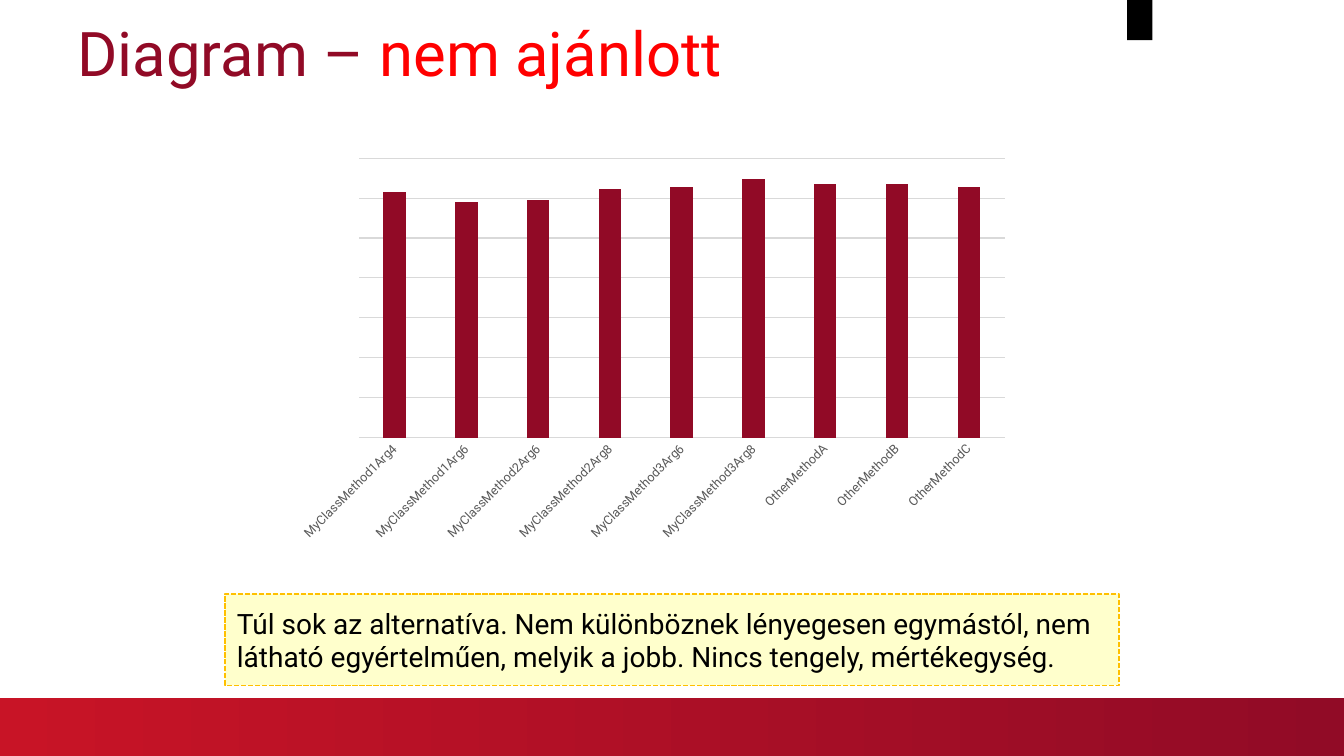
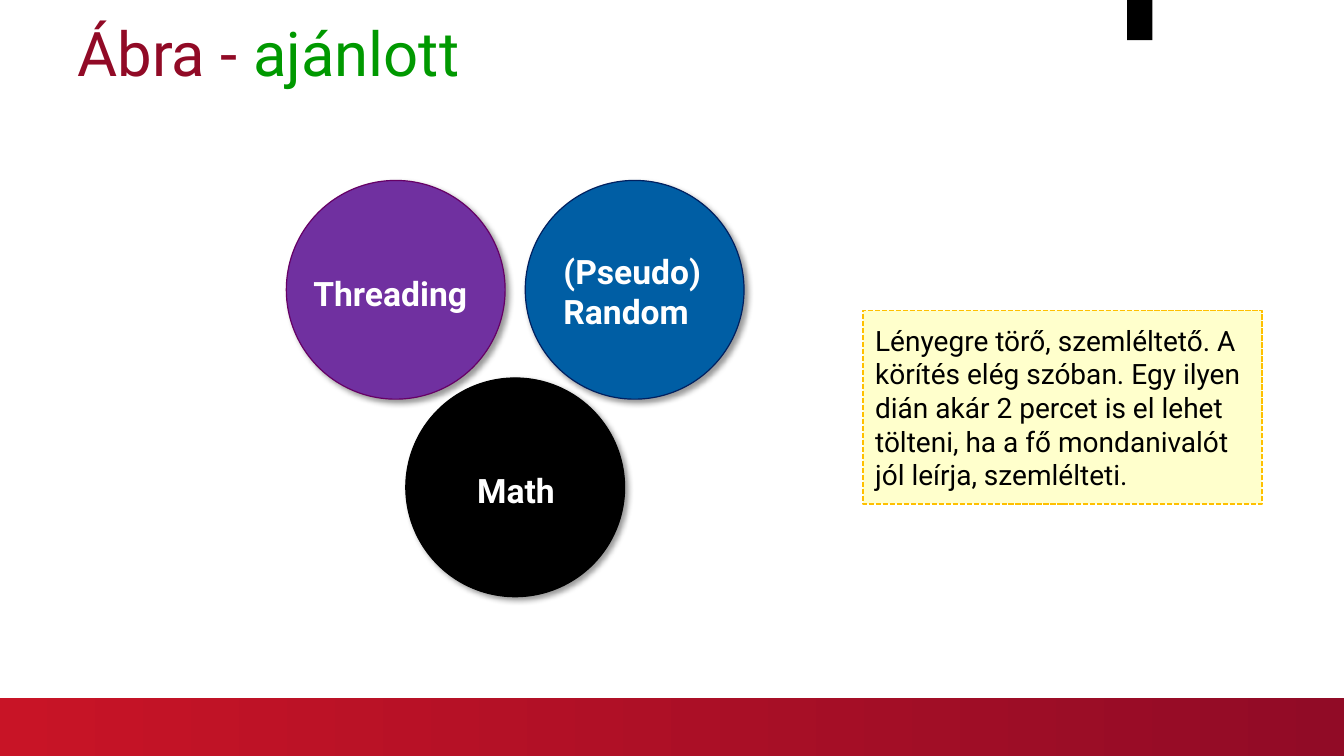
from lxml import etree
from pptx import Presentation
from pptx.chart.data import CategoryChartData
from pptx.dml.color import RGBColor
from pptx.enum.chart import XL_CHART_TYPE as ChartType, XL_TICK_MARK as Tick
from pptx.enum.dml import MSO_LINE as Dash
from pptx.enum.shapes import MSO_SHAPE as Shape
from pptx.enum.text import MSO_ANCHOR as Anchor, PP_ALIGN as Align
from pptx.oxml.ns import qn
from pptx.util import Inches, Pt

FONT = "Roboto"
CRIMSON = RGBColor(0x91, 0x0A, 0x26)
BAND_LEFT = RGBColor(0xC8, 0x14, 0x26)
BAND_RIGHT = RGBColor(0x91, 0x0B, 0x26)
RED = RGBColor(0xFF, 0x00, 0x00)
GREEN = RGBColor(0x00, 0x99, 0x00)
BLACK = RGBColor(0x00, 0x00, 0x00)
WHITE = RGBColor(0xFF, 0xFF, 0xFF)
NOTE_FILL = RGBColor(0xFF, 0xFF, 0xCC)
NOTE_EDGE = RGBColor(0xFF, 0xC0, 0x00)
GRID = RGBColor(0xD9, 0xD9, 0xD9)
LABEL_GREY = RGBColor(0x59, 0x59, 0x59)
PURPLE = RGBColor(0x70, 0x30, 0xA0)
PURPLE_EDGE = RGBColor(0x66, 0x00, 0x66)
BLUE = RGBColor(0x00, 0x5E, 0xA4)
BLUE_EDGE = RGBColor(0x00, 0x20, 0x60)

METHODS = [
    ("MyClassMethod1Arg4", 95), ("MyClassMethod1Arg6", 91), ("MyClassMethod2Arg6", 92),
    ("MyClassMethod2Arg8", 96), ("MyClassMethod3Arg6", 97), ("MyClassMethod3Arg8", 100),
    ("OtherMethodA", 98), ("OtherMethodB", 98), ("OtherMethodC", 97),
]
GRID_STEP = 15.44
GRID_ROWS = 7


def box_inches(box):
    return [Inches(length) for length in box]


def write(frame, paragraphs, size, bold=False, anchor=Anchor.TOP, spacing=None, inset=None):
    frame.word_wrap = True
    frame.vertical_anchor = anchor
    if inset is not None:
        frame.margin_left = frame.margin_right = Inches(inset)
        frame.margin_top = frame.margin_bottom = Inches(inset)
    for index, runs in enumerate(paragraphs):
        paragraph = frame.paragraphs[0] if index == 0 else frame.add_paragraph()
        paragraph.alignment = Align.LEFT
        if spacing:
            paragraph.line_spacing = spacing
        for words, color in runs:
            run = paragraph.add_run()
            run.text = words
            run.font.name, run.font.size, run.font.bold = FONT, Pt(size), bold
            run.font.color.rgb = color


def add_text(slide, box, paragraphs, **style):
    write(slide.shapes.add_textbox(*box_inches(box)).text_frame, paragraphs, **style)


def add_filled(slide, kind, box, fill=None, edge=None, width=0.85):
    shape = slide.shapes.add_shape(kind, *box_inches(box))
    shape.shadow.inherit = False
    if fill is not None:
        shape.fill.solid()
        shape.fill.fore_color.rgb = fill
    if edge is None:
        shape.line.fill.background()
    else:
        shape.line.color.rgb = edge
        shape.line.width = Pt(width)
    return shape


def add_shadow(shape):
    effects = shape.element.spPr.find(qn("a:effectLst"))
    shadow = etree.SubElement(effects, qn("a:outerShdw"), blurRad=str(Pt(4)),
                              dist=str(Pt(3)), dir="2700000", algn="tl", rotWithShape="0")
    color = etree.SubElement(shadow, qn("a:srgbClr"), val=str(BLACK))
    etree.SubElement(color, qn("a:alpha"), val="40000")


def add_frame(deck, topic, verdict, verdict_color):
    slide = deck.slides.add_slide(deck.slide_layouts[6])
    band = add_filled(slide, Shape.RECTANGLE, (-0.01, 6.93, 13.34, 0.57))
    band.fill.gradient()
    band.fill.gradient_angle = 0
    for stop, color in zip(band.fill.gradient_stops, (BAND_LEFT, BAND_RIGHT)):
        stop.color.rgb = color
    add_text(slide, (0.67, 0.13, 12, 0.87), [[(topic, CRIMSON), (verdict, verdict_color)]],
             size=44, anchor=Anchor.MIDDLE, spacing=0.9)
    add_filled(slide, Shape.RECTANGLE, (11.18, 0, 0.25, 0.4), BLACK)
    return slide


def add_note(slide, box, words):
    note = add_filled(slide, Shape.RECTANGLE, box, NOTE_FILL, NOTE_EDGE, 1.25)
    note.line.dash_style = Dash.SQUARE_DOT
    write(note.text_frame, [[(words, BLACK)]], size=20, anchor=Anchor.MIDDLE, inset=0.12)


def add_method_chart(slide, box):
    data = CategoryChartData()
    data.categories = [method for method, value in METHODS]
    data.add_series("Series 1", [value for method, value in METHODS])
    chart = slide.shapes.add_chart(ChartType.COLUMN_CLUSTERED, *box_inches(box), data).chart
    chart.has_legend = chart.has_title = False
    chart.font.name, chart.font.size = FONT, Pt(10)
    chart.font.color.rgb = BLACK

    plot = chart.plots[0]
    plot.gap_width, plot.overlap, plot.vary_by_categories = 219, -27, False
    bars = plot.series[0].format.fill
    bars.solid()
    bars.fore_color.rgb = CRIMSON

    methods = chart.category_axis
    methods.major_tick_mark = methods.minor_tick_mark = Tick.NONE
    label_font = methods.tick_labels.font
    label_font.name, label_font.size = FONT, Pt(9)
    label_font.color.rgb = LABEL_GREY
    methods._element.find(".//" + qn("a:bodyPr")).set("rot", "-2700000")

    scale = chart.value_axis
    scale.visible = False
    scale.minimum_scale, scale.maximum_scale = 0, GRID_STEP * GRID_ROWS
    scale.major_unit = GRID_STEP
    scale.has_major_gridlines = True
    for line in (methods.format.line, scale.major_gridlines.format.line):
        line.color.rgb = GRID
        line.width = Pt(0.75)


def add_topic_circles(slide, left, top, size=2.17, pitch=2.37, drop=1.96):
    topics = [
        (0, 0, PURPLE, PURPLE_EDGE, ["Threading"], (0.17, 0.87, 1.83, 0.5)),
        (pitch / 2, drop, BLACK, BLACK, ["Math"], (0.61, 0.86, 1, 0.5)),
        (pitch, 0, BLUE, BLUE_EDGE, ["(Pseudo)", "Random"], (0.28, 0.65, 1.69, 0.91)),
    ]
    for dx, dy, fill, edge, words, label in topics:
        x, y = left + dx, top + dy
        add_shadow(add_filled(slide, Shape.OVAL, (x, y, size, size), fill, edge))
        label_x, label_y, width, height = label
        add_text(slide, (x + label_x, y + label_y, width, height),
                 [[(word, WHITE)] for word in words], size=24, bold=True)


def build_chart_slide(deck):
    slide = add_frame(deck, "Diagram – ", "nem ajánlott", RED)
    add_note(slide, (2.23, 5.89, 8.87, 0.91),
             "Túl sok az alternatíva. Nem különböznek lényegesen egymástól, nem látható "
             "egyértelműen, melyik a jobb. Nincs tengely, mértékegység.")
    add_method_chart(slide, (2.84, 1.49, 7.27, 3.95))


def build_figure_slide(deck):
    slide = add_frame(deck, "Ábra - ", "ajánlott", GREEN)
    add_topic_circles(slide, 2.84, 1.79)
    add_note(slide, (8.56, 3.08, 3.96, 1.92),
             "Lényegre törő, szemléltető. A körítés elég szóban. Egy ilyen dián akár 2 percet "
             "is el lehet tölteni, ha a fő mondanivalót jól leírja, szemlélteti.")


def main():
    deck = Presentation()
    deck.slide_width, deck.slide_height = Inches(13.33), Inches(7.5)
    build_chart_slide(deck)
    build_figure_slide(deck)
    deck.save("out.pptx")


if __name__ == "__main__":
    main()
